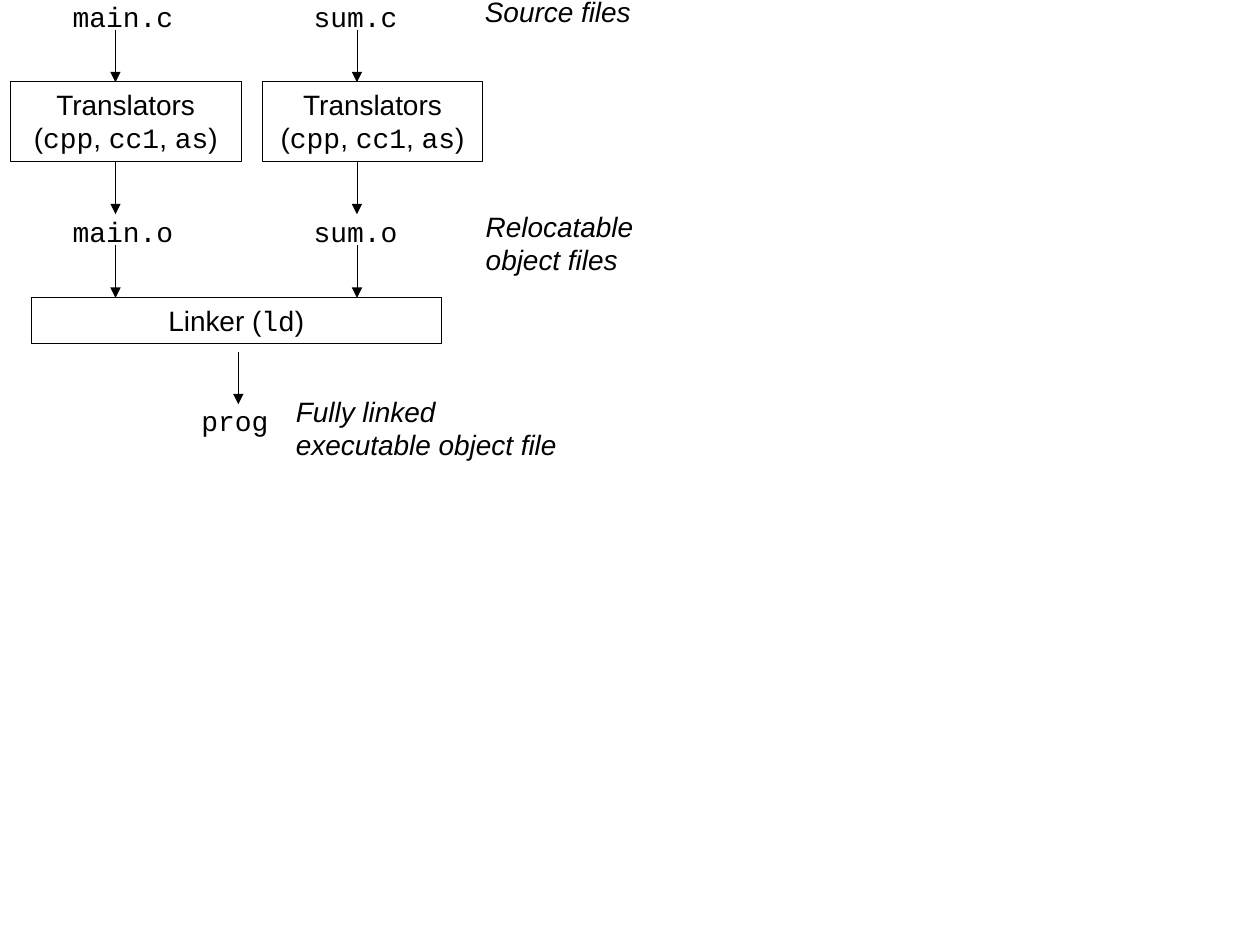
from lxml import etree
from pptx import Presentation
from pptx.dml.color import RGBColor
from pptx.enum import shapes, text
from pptx.oxml.ns import qn
from pptx.util import Pt

COLORS = {"ink": "000000"}
INK = RGBColor.from_string(COLORS["ink"])
SANS, MONO = "Arial", "Courier New"
LEFT, CENTER = text.PP_ALIGN.LEFT, text.PP_ALIGN.CENTER

prs = Presentation()
prs.slide_width, prs.slide_height = Pt(720), Pt(540)
s = prs.slides.add_slide(prs.slide_layouts[6])


def write(sp, lines, align=LEFT, italic=False, wrap=False):
    """Fill a shape with lines of text; parts between backticks are monospaced."""
    tf = sp.text_frame
    tf.word_wrap = wrap
    tf.auto_size = text.MSO_AUTO_SIZE.SHAPE_TO_FIT_TEXT
    tf.vertical_anchor = text.MSO_ANCHOR.TOP
    for i, line in enumerate(lines):
        p = tf.add_paragraph() if i else tf.paragraphs[0]
        p.alignment = align
        for j, part in enumerate(line.split("`")):
            if part:
                r = p.add_run()
                r.text = part
                r.font.name = MONO if j % 2 else SANS
                r.font.size = Pt(16)
                r.font.italic = italic
                r.font.color.rgb = INK


# Processing steps: left, top, width, height, lines
translator = ["Translators", "(`cpp`, `cc1`, `as`)"]
steps = [
    (5.9, 46.4, 131.9, 46, translator),
    (149.9, 46.4, 126, 46, translator),
    (18, 169.9, 234, 26.6, ["Linker (`ld`)"]),
]
for x, y, w, h, lines in steps:
    sp = s.shapes.add_shape(shapes.MSO_SHAPE.RECTANGLE, Pt(x), Pt(y), Pt(w), Pt(h))
    sp.shadow.inherit = False
    sp.fill.background()
    sp.line.color.rgb = INK
    sp.line.width = Pt(0.5)
    write(sp, lines, CENTER, wrap=True)

# File names and italic notes: left, top, width, height, lines, italic
labels = [
    (34.4, -4, 72.7, 26.6, ["`main.c`"], False),
    (34.4, 118.9, 72.7, 26.6, ["`main.o`"], False),
    (172.2, -4, 63.1, 26.6, ["`sum.c`"], False),
    (172.2, 118.9, 63.1, 26.6, ["`sum.o`"], False),
    (108, 227, 53.5, 26.6, ["`prog`"], False),
    (270, -6.5, 98, 26.6, ["Source files"], True),
    (270.5, 115.9, 98.6, 46, ["Relocatable", "object files"], True),
    (162, 221.8, 163.4, 46, ["Fully linked", "executable object file"], True),
]
for x, y, w, h, lines, italic in labels:
    write(s.shapes.add_textbox(Pt(x), Pt(y), Pt(w), Pt(h)), lines, italic=italic)

# Arrows of equal length: three down each source column, one below the linker
arrows = [(x, y) for x in (66, 204) for y in (17, 92.4, 140.2)] + [(136.2, 201)]
for x, y in arrows:
    c = s.shapes.add_connector(
        shapes.MSO_CONNECTOR.STRAIGHT, Pt(x), Pt(y), Pt(x), Pt(y + 30))
    c.line.color.rgb = INK
    c.line.width = Pt(0.5)
    etree.SubElement(c.line._get_or_add_ln(), qn("a:tailEnd"), type="triangle")
    etree.SubElement(c._element.spPr, qn("a:effectLst"))

prs.save("out.pptx")
